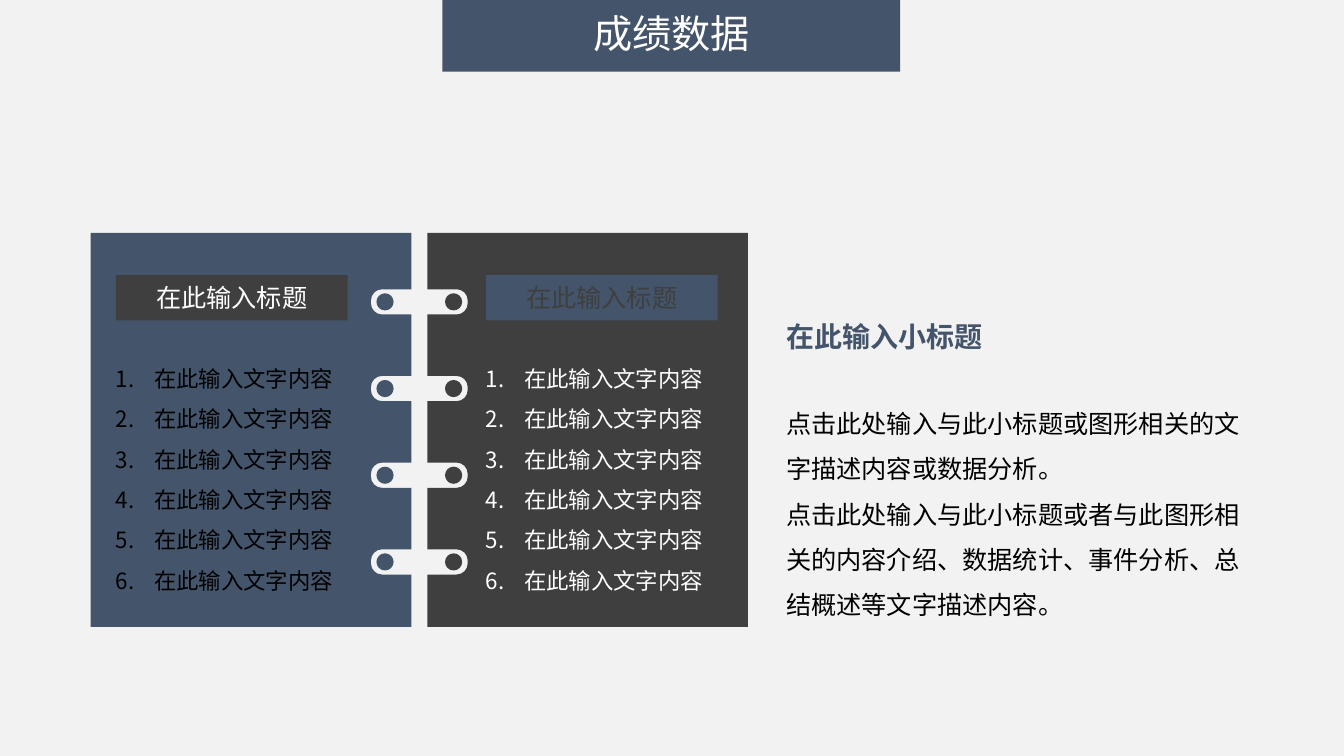
from lxml.etree import SubElement
from pptx import Presentation
from pptx.dml.color import RGBColor
from pptx.enum.shapes import MSO_SHAPE
from pptx.enum.text import MSO_ANCHOR, MSO_AUTO_SIZE, PP_ALIGN
from pptx.oxml.ns import qn
from pptx.util import Emu, Pt

BLUE = RGBColor(0x44, 0x54, 0x6A)
DARK = RGBColor(0x3F, 0x3F, 0x3F)
PALE = RGBColor(0xF2, 0xF2, 0xF2)
WHITE = RGBColor(0xFF, 0xFF, 0xFF)
BLACK = RGBColor(0, 0, 0)
FONT = "Noto Sans CJK SC"

TITLE = "成绩数据"
ITEMS = ["在此输入文字内容"] * 6
# inner edge, outward direction, page fill, label fill, label ink, list ink, text left
PAGES = [
    (408, -1, BLUE, DARK, WHITE, BLACK, 115),
    (424, 1, DARK, BLUE, DARK, WHITE, 482),
]
LABEL = "在此输入标题"
HEAD = "在此输入小标题"
PROSE = [
    "点击此处输入与此小标题或图形相关的文字描述内容或数据分析。",
    "点击此处输入与此小标题或者与此图形相关的内容介绍、数据统计、事件分析、总结概述等文字描述内容。",
]

PX = 9144  # 100 px to the inch
TOP, BASE, WIDE = 231, 622, 318
SLOTS = [287 + 86 * i for i in range(4)]
DEPTH, TALL, ROUND = 40, 25, 11
HOLE, INSET = 8.5, 26
INDENT = 38
CURVE = 0.55


def px(n):
    return Emu(round(n * PX))


def place(shape, *box):
    shape.left, shape.top, shape.width, shape.height = map(px, box)


def paint(shape, color):
    shape.shadow.inherit = False
    shape.fill.solid()
    shape.fill.fore_color.rgb = color
    shape.line.fill.background()


def write(shape, lines, size, color, bold=False, number=False, frame=None, para=None):
    """Fill a shape with paragraphs; frame and para hold format values."""
    text = shape.text_frame
    base = {"word_wrap": True, "auto_size": MSO_AUTO_SIZE.NONE}
    for key, val in (base | (frame or {})).items():
        setattr(text, key, val)
    for i, line in enumerate(lines):
        p = text.paragraphs[0] if i == 0 else text.add_paragraph()
        for key, val in ({"space_before": Pt(0)} | (para or {})).items():
            setattr(p, key, val)
        if number:
            props = p._p.get_or_add_pPr()
            props.set("marL", str(px(INDENT)))
            props.set("indent", str(-px(INDENT)))
            SubElement(props, qn("a:buFont"), typeface="+mj-lt")
            SubElement(props, qn("a:buAutoNum"), type="arabicPeriod")
        run = p.add_run()
        run.text = line
        font = run.font
        for key, val in {"size": Pt(size), "bold": bold, "name": FONT}.items():
            setattr(font, key, val)
        font.color.rgb = color
        SubElement(run._r.get_or_add_rPr(), qn("a:ea"), typeface=FONT)


def bend(start, turn, end):
    """Give the steps of a quarter round that hugs the corner at turn."""
    pull = [tuple(a + CURVE * (b - a) for a, b in zip(p, turn)) for p in (start, end)]
    return [(dot, True) for dot in (*pull, end)]


def ring(x, y, r):
    ends = [(x + r, y), (x, y + r), (x - r, y), (x, y - r), (x + r, y)]
    turns = [(x + r, y + r), (x - r, y + r), (x - r, y - r), (x + r, y - r)]
    steps = [(ends[0], False)]
    for part in zip(ends, turns, ends[1:]):
        steps += bend(*part)
    return steps


def slot(edge, way, top):
    deep, mid, low = edge + way * DEPTH, edge + way * (DEPTH - ROUND), top + TALL
    return [
        ((edge, top), False), ((mid, top), False),
        *bend((mid, top), (deep, top), (deep, top + ROUND)),
        ((deep, low - ROUND), False),
        *bend((deep, low - ROUND), (deep, low), (mid, low)),
        ((edge, low), False),
    ]


def draw_page(shapes, edge, way, color):
    """Draw a page with round slots on its inner edge and a hole in each slot."""
    far = edge + way * WIDE
    rim = [((far, TOP), False), ((edge, TOP), False)]
    for top in SLOTS:
        rim += slot(edge, way, top)
    rim += [((edge, BASE), False), ((far, BASE), False)]
    holes = [ring(edge + way * INSET, top + TALL / 2, HOLE) for top in SLOTS]
    pen = shapes.build_freeform(px(far), px(TOP))
    flags = []
    for i, loop in enumerate([rim, *holes]):
        dots = [(px(x), px(y)) for (x, y), _ in loop]
        if i:
            pen.move_to(*dots[0])
        pen.add_line_segments(dots[1:], close=True)
        flags += [curved for _, curved in loop[1:]]
    page = pen.convert_to_shape()
    paint(page, color)
    lines = list(page.element.iter(qn("a:lnTo")))
    curved = [line for line, flag in zip(lines, flags) if flag]
    for one, two, end in zip(*[iter(curved)] * 3):
        one.tag = qn("a:cubicBezTo")
        for step in (two, end):
            one.append(step[0])
            step.getparent().remove(step)


def add_rect(shapes, color, *box):
    rect = shapes.add_shape(MSO_SHAPE.RECTANGLE, *map(px, box))
    paint(rect, color)
    return rect


def raise_up(shape):
    shape.element.getparent().append(shape.element)


def main():
    deck = Presentation()
    deck.slide_width, deck.slide_height = px(4000 / 3), px(750)
    slide = deck.slides.add_slide(deck.slide_layouts[3])
    slide.background.fill.solid()
    slide.background.fill.fore_color.rgb = PALE
    shapes = slide.shapes
    title, *lists = slide.placeholders
    grow = {"auto_size": MSO_AUTO_SIZE.SHAPE_TO_FIT_TEXT}

    add_rect(shapes, BLUE, 439, 0, 454, 71)
    raise_up(title)
    place(title, 495, 9, 343, 53)
    write(title, [TITLE], 28, WHITE,
          frame={"word_wrap": False, "vertical_anchor": MSO_ANCHOR.MIDDLE},
          para={"alignment": PP_ALIGN.CENTER, "line_spacing": 0.9})

    for page, body in zip(PAGES, lists):
        edge, way, fill, tab, ink, tone, left = page
        draw_page(shapes, edge, way, fill)
        label = add_rect(shapes, tab, left, 273, 230, 45)
        write(label, [LABEL], 18, ink,
              frame={"vertical_anchor": MSO_ANCHOR.MIDDLE},
              para={"alignment": PP_ALIGN.CENTER})
        raise_up(body)
        place(body, left, 344, 244, 252)
        write(body, ITEMS, 16, tone, number=True,
              frame=grow | {"margin_left": 0, "margin_right": 0},
              para={"line_spacing": 1.5})

    head = shapes.add_textbox(*map(px, (770, 304, 384, 48)))
    write(head, [HEAD], 20, BLUE, bold=True, frame=grow, para={"line_spacing": 1.25})
    prose = shapes.add_textbox(*map(px, (770, 385, 489, 237)))
    write(prose, PROSE, 18, BLACK, frame=grow, para={"line_spacing": 1.5})

    deck.save("out.pptx")


if __name__ == "__main__":
    main()
